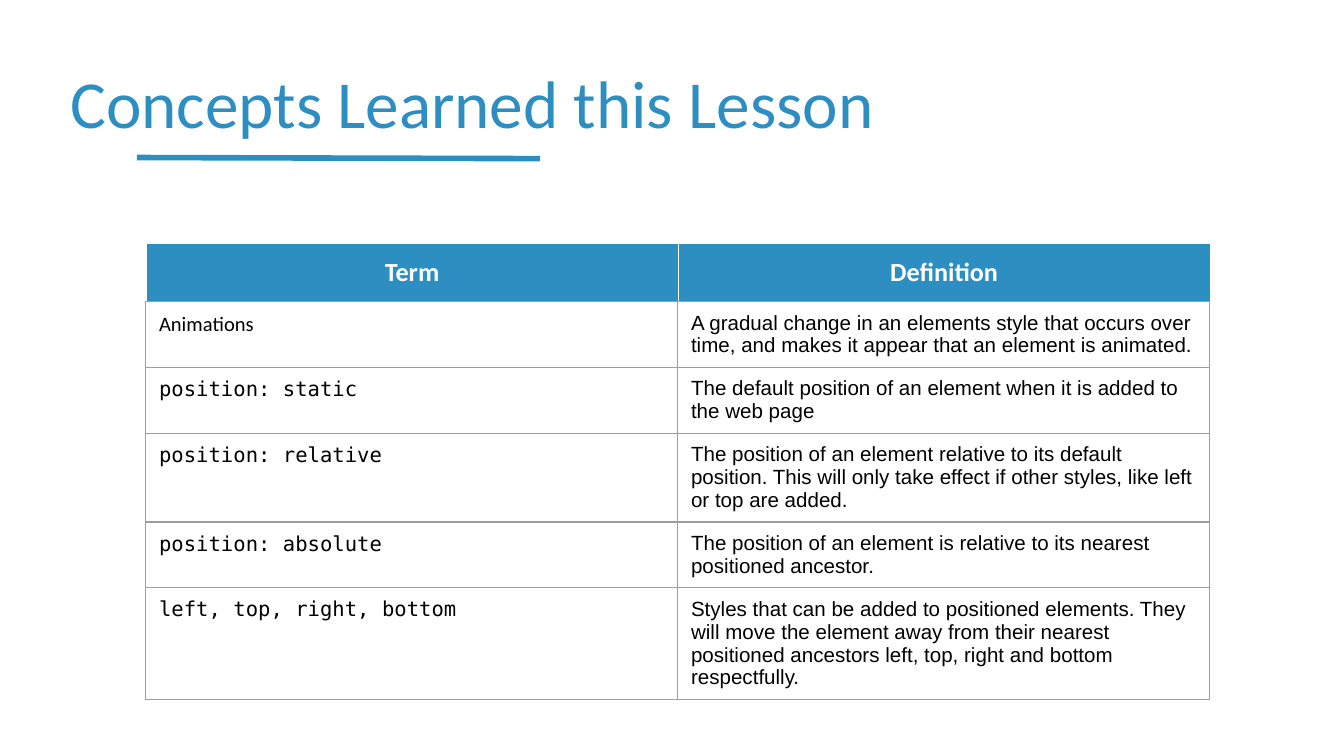
from lxml import etree
from pptx import Presentation
from pptx.dml.color import RGBColor
from pptx.enum.shapes import MSO_CONNECTOR
from pptx.enum.text import MSO_ANCHOR, MSO_AUTO_SIZE, PP_ALIGN
from pptx.oxml.ns import qn
from pptx.util import Pt

STRAIGHT = MSO_CONNECTOR.STRAIGHT
TOP = MSO_ANCHOR.TOP
NO_AUTOFIT = MSO_AUTO_SIZE.NONE
LEFT, CENTER = PP_ALIGN.LEFT, PP_ALIGN.CENTER

# Content
TITLE = "Concepts Learned this Lesson"
HEADINGS = ("Term", "Definition")
CONCEPTS = [
    ("Animations",
     "A gradual change in an elements style that occurs over time, "
     "and makes it appear that an element is animated."),
    ("position: static",
     "The default position of an element when it is added to the web page"),
    ("position: relative",
     "The position of an element relative to its default position. This will "
     "only take effect if other styles, like left or top are added."),
    ("position: absolute",
     "The position of an element is relative to its nearest positioned ancestor."),
    ("left, top, right, bottom",
     "Styles that can be added to positioned elements. They will move the element "
     "away from their nearest positioned ancestors left, top, right and bottom "
     "respectfully."),
]

# Style and measures, in points
COLORS = {"accent": "2D8EC2", "white": "FFFFFF", "text": "000000", "grid": "9E9E9E"}
HEADING_FONT, DEFINITION_FONT, CODE_FONT = "Calibri", "Arial", "DejaVu Sans Mono"
COLUMN_WIDTH = 285
FRAME_SIZE = 236.2
INSET = 7.2
ROW_INSET = 5.4
# Rows start at a least height and grow with their text
HEADING_ROW, CONCEPT_ROW = 5, 22.3


def rgb(name):
    return RGBColor.from_string(COLORS[name])


def style_text(frame, font, size, color, align=LEFT, bold=False):
    paragraph = frame.paragraphs[0]
    paragraph.alignment = align
    for run in paragraph.runs:
        run.font.name = font
        run.font.size = Pt(size)
        run.font.bold = bold
        run.font.color.rgb = rgb(color)


def set_insets(box, side, vertical):
    box.margin_left = box.margin_right = Pt(side)
    box.margin_top = box.margin_bottom = Pt(vertical)


def set_borders(cell, color, dotted_bottom=False):
    properties = cell._tc.get_or_add_tcPr()
    for tag in ("a:lnL", "a:lnR", "a:lnT", "a:lnB"):
        border = etree.SubElement(properties, qn(tag), w=str(Pt(0.75)))
        fill = etree.SubElement(border, qn("a:solidFill"))
        etree.SubElement(fill, qn("a:srgbClr"), val=COLORS[color])
        dash = "dot" if dotted_bottom and tag == "a:lnB" else "solid"
        etree.SubElement(border, qn("a:prstDash"), val=dash)


def add_plain_table(slide, left, top, row_count, row_height):
    frame = slide.shapes.add_table(row_count, len(HEADINGS), Pt(left), Pt(top),
                                   Pt(FRAME_SIZE), Pt(FRAME_SIZE))
    table = frame.table
    table.first_row = table.horz_banding = False
    for column in table.columns:
        column.width = Pt(COLUMN_WIDTH)
    for row in table.rows:
        row.height = Pt(row_height)
    frame.width = frame.height = Pt(FRAME_SIZE)
    return table


prs = Presentation()
prs.slide_width, prs.slide_height = Pt(720), Pt(405)
slide = prs.slides.add_slide(prs.slide_layouts[5])

# Title and its underline
title = slide.shapes.title
title.left, title.top, title.width, title.height = Pt(30.5), Pt(25.5), Pt(502), Pt(56)
title_frame = title.text_frame
title_frame.text = TITLE
title_frame.word_wrap = True
title_frame.auto_size = NO_AUTOFIT
title_frame.vertical_anchor = TOP
set_insets(title_frame, INSET, INSET)
style_text(title_frame, HEADING_FONT, 36, "accent")

underline = slide.shapes.add_connector(STRAIGHT, Pt(73.4), Pt(84.4), Pt(289.4), Pt(85))
underline.line.color.rgb = rgb("accent")
underline.line.width = Pt(3)
etree.SubElement(underline._element.spPr, qn("a:effectLst"))

# Heading row
heading_table = add_plain_table(slide, 78.3, 130.5, 1, HEADING_ROW)
for cell, heading in zip(heading_table.rows[0].cells, HEADINGS):
    cell.text_frame.text = heading
    set_insets(cell, INSET, INSET)
    set_borders(cell, "white", dotted_bottom=True)
    cell.fill.solid()
    cell.fill.fore_color.rgb = rgb("accent")
    style_text(cell.text_frame, HEADING_FONT, 14, "white", CENTER, bold=True)

# Terms and definitions
concept_table = add_plain_table(slide, 78, 161.5, len(CONCEPTS), CONCEPT_ROW)
for index, (term, definition) in enumerate(CONCEPTS):
    term_font = HEADING_FONT if index == 0 else CODE_FONT
    entries = ((term, term_font), (definition, DEFINITION_FONT))
    for cell, (text, font) in zip(concept_table.rows[index].cells, entries):
        cell.text_frame.text = text
        set_insets(cell, INSET, ROW_INSET)
        set_borders(cell, "grid")
        cell.fill.background()
        style_text(cell.text_frame, font, 11, "text")

prs.save("out.pptx")
